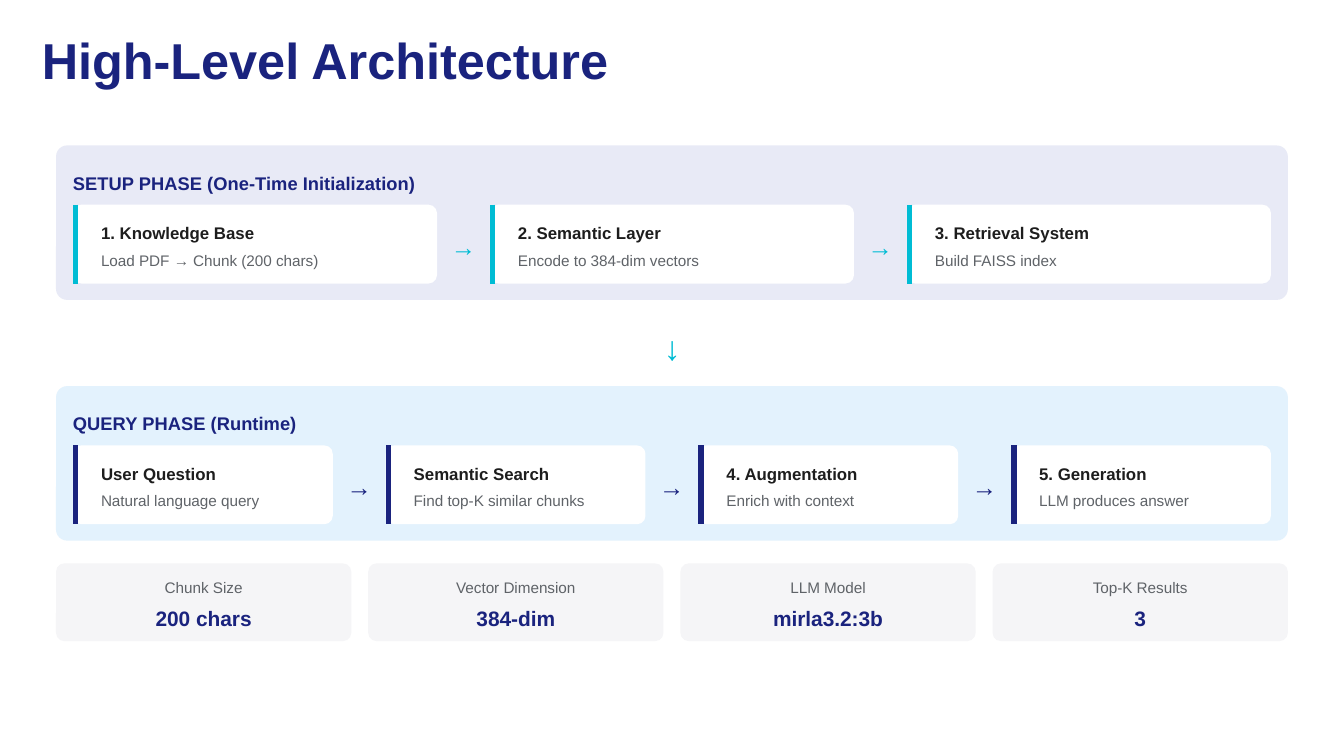
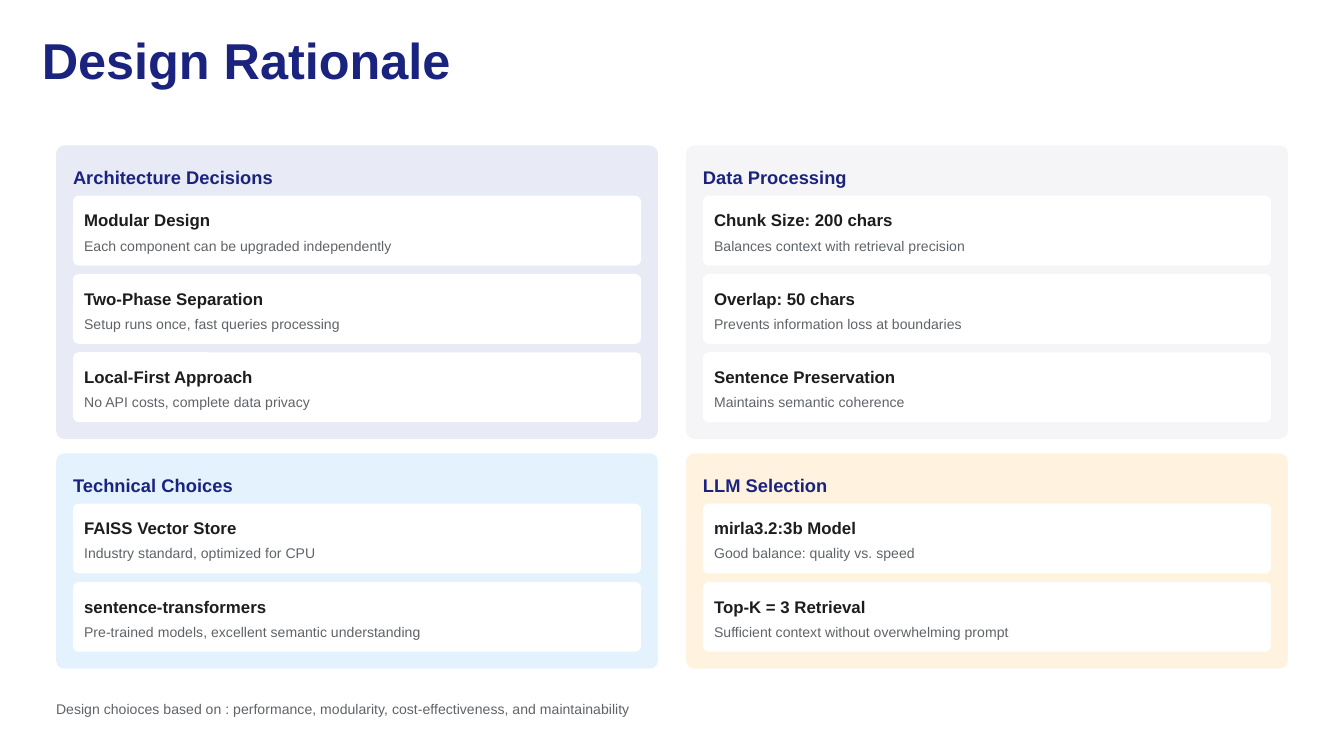
"""Build two slides on the architecture and design rationale of a retrieval system."""
from dataclasses import dataclass

from lxml import etree
from pptx import Presentation, util as u
from pptx.dml.color import RGBColor
from pptx.enum import shapes, text
from pptx.oxml.ns import qn

Cm, Pt = u.Cm, u.Pt
LEFT, ALIGN_CENTER = text.PP_ALIGN.LEFT, text.PP_ALIGN.CENTER


@dataclass(frozen=True)
class Type:
    """Hold one text style, in points."""
    size: float
    spacing: float
    color: str
    bold: bool = False
    before: float = 0
    after: float = 0
    align: int = LEFT


class Theme:
    """Keep the colours and type sizes together."""
    font = "Arial"
    navy, cyan, ink, grey = "1A237E", "00BCD4", "1D1D1D", "5F6368"
    white, lavender, sky, mist, cream = "FFFFFF", "E8EAF6", "E3F2FD", "F5F5F7", "FFF3E0"
    title = Type(27, 30, navy, True)
    phase = Type(9.8, 13.7, navy, True, before=3, after=6)
    heading = Type(9.8, 13.7, navy, True, after=4.5)
    step = Type(9, 12.6, ink, True)
    step_note = Type(8.2, 11.6, grey, before=3)
    choice = Type(9, 12.6, ink, True, after=2.2)
    note = Type(7.5, 10.5, grey)
    stat_label = Type(8.2, 11.6, grey, after=2.2, align=ALIGN_CENTER)
    stat_value = Type(11.2, 15.8, navy, True, align=ALIGN_CENTER)
    down_arrow = Type(18, 25.2, cyan, align=ALIGN_CENTER)

    @staticmethod
    def arrow(color):
        """Return the style of an arrow between steps."""
        return Type(13.5, 18.9, color)


class Deck:
    """Hold the style and the current slide, and draw elements in centimetres."""
    margin, top, width, pad = 1.06, 2.75, 23.28, 0.32

    def __init__(self, theme):
        """Start an empty widescreen presentation."""
        self.theme = theme
        self.prs = Presentation()
        self.prs.slide_width, self.prs.slide_height = Cm(25.4), Cm(14.29)
        self.s = None

    def slide(self, title):
        """Add a slide with its title."""
        self.s = self.prs.slides.add_slide(self.prs.slide_layouts[5])
        sp = self.s.shapes.title
        sp.left, sp.top, sp.width, sp.height = Cm(0.79), Cm(0.64), Cm(12.17), Cm(1.07)
        self.set_text(sp, title, self.theme.title)

    def set_text(self, sp, words, style):
        """Fill a shape with one styled paragraph."""
        tf = sp.text_frame
        tf.margin_left = tf.margin_right = tf.margin_top = tf.margin_bottom = 0
        tf.word_wrap = True
        tf.auto_size = text.MSO_AUTO_SIZE.NONE
        tf.vertical_anchor = text.MSO_ANCHOR.TOP
        tf.text = words
        p = tf.paragraphs[0]
        p.alignment = style.align
        p.line_spacing = Pt(style.spacing)
        p.space_before, p.space_after = Pt(style.before), Pt(style.after)
        for r in p.runs:
            r.font.name, r.font.size, r.font.bold = self.theme.font, Pt(style.size), style.bold
            r.font.color.rgb = RGBColor.from_string(style.color)

    def label(self, x, y, w, h, words, style):
        """Add a text box."""
        self.set_text(self.s.shapes.add_textbox(Cm(x), Cm(y), Cm(w), Cm(h)), words, style)

    def box(self, x, y, w, h, fill, radius=0.16):
        """Add a filled rounded box with a fixed corner radius."""
        sp = self.s.shapes.add_shape(
            shapes.MSO_SHAPE.ROUNDED_RECTANGLE, Cm(x), Cm(y), Cm(w), Cm(h))
        sp.adjustments[0] = radius / min(w, h)
        sp.shadow.inherit = False
        sp.fill.solid()
        sp.fill.fore_color.rgb = RGBColor.from_string(fill)
        sp.line.fill.background()

    def accent(self, x, y, h, color):
        """Add a thick vertical line."""
        sp = self.s.shapes.add_connector(
            shapes.MSO_CONNECTOR.STRAIGHT, Cm(x), Cm(y), Cm(x), Cm(y + h))
        sp.line.color.rgb = RGBColor.from_string(color)
        sp.line.width = Pt(3)
        etree.SubElement(sp._element.spPr, qn("a:effectLst"))

    def phase(self, y, title, fill, color, steps):
        """Add a panel of steps joined by arrows."""
        t, gap, h = self.theme, 1.0, 1.49
        left, inner = self.margin + self.pad, self.width - 2 * self.pad
        w = (inner - gap * (len(steps) - 1)) / len(steps)
        self.box(self.margin, y, self.width, 2.92, fill, 0.21)
        self.label(left, y + 0.43, inner, 0.48, title, t.phase)
        card_top = y + 1.12
        for i, (name, note) in enumerate(steps):
            x = left + i * (w + gap)
            if i:
                self.label(x - 0.74, card_top + 0.4, 0.48, 0.66, "→", t.arrow(color))
            self.box(x, card_top, w, h, t.white)
            self.accent(x + 0.05, card_top, h, color)
            self.label(x + 0.53, card_top + 0.28, w - 0.84, 0.43, name, t.step)
            self.label(x + 0.53, card_top + 0.81, w - 0.84, 0.41, note, t.step_note)

    def stats(self, y, items):
        """Add a row of equal boxes with a label and a value."""
        t, gap = self.theme, self.pad
        w = (self.width - gap * (len(items) - 1)) / len(items)
        for i, (name, value) in enumerate(items):
            x = self.margin + i * (w + gap)
            self.box(x, y, w, 1.47, t.mist)
            self.label(x + self.pad, y + 0.21, w - 2 * self.pad, 0.41, name, t.stat_label)
            self.label(x + self.pad, y + 0.71, w - 2 * self.pad, 0.56, value, t.stat_value)

    def choices(self, x, y, w, title, fill, items):
        """Add a panel of stacked choices and return its height."""
        t, head, card, gap = self.theme, 0.95, 1.32, 0.16
        left, inner = x + self.pad, w - 2 * self.pad
        h = head + len(items) * (card + gap) - gap + self.pad
        self.box(x, y, w, h, fill)
        self.label(left, y + 0.33, inner, 0.48, title, t.heading)
        for i, (name, note) in enumerate(items):
            card_top = y + head + i * (card + gap)
            self.box(left, card_top, inner, card, t.white, 0.11)
            self.label(left + 0.21, card_top + 0.21, inner - 0.22, 0.43, name, t.choice)
            self.label(left + 0.21, card_top + 0.73, inner - 0.22, 0.38, note, t.note)
        return h


def architecture(d):
    """Draw the two phases and the key figures."""
    t = d.theme
    d.slide("High-Level Architecture")
    d.phase(d.top, "SETUP PHASE (One-Time Initialization)", t.lavender, t.cyan, [
        ("1. Knowledge Base", "Load PDF → Chunk (200 chars)"),
        ("2. Semantic Layer", "Encode to 384-dim vectors"),
        ("3. Retrieval System", "Build FAISS index"),
    ])
    d.label(0.83, 6.05, 23.75, 0.89, "↓", t.down_arrow)
    d.phase(7.3, "QUERY PHASE (Runtime)", t.sky, t.navy, [
        ("User Question", "Natural language query"),
        ("Semantic Search", "Find top-K similar chunks"),
        ("4. Augmentation", "Enrich with context"),
        ("5. Generation", "LLM produces answer"),
    ])
    d.stats(10.65, [
        ("Chunk Size", "200 chars"),
        ("Vector Dimension", "384-dim"),
        ("LLM Model", "mirla3.2:3b"),
        ("Top-K Results", "3"),
    ])


def rationale(d):
    """Draw four panels of design choices in two columns."""
    t = d.theme
    d.slide("Design Rationale")
    columns = [
        [("Architecture Decisions", t.lavender, [
            ("Modular Design", "Each component can be upgraded independently"),
            ("Two-Phase Separation", "Setup runs once, fast queries processing"),
            ("Local-First Approach", "No API costs, complete data privacy"),
        ]), ("Technical Choices", t.sky, [
            ("FAISS Vector Store", "Industry standard, optimized for CPU"),
            ("sentence-transformers", "Pre-trained models, excellent semantic understanding"),
        ])],
        [("Data Processing", t.mist, [
            ("Chunk Size: 200 chars", "Balances context with retrieval precision"),
            ("Overlap: 50 chars", "Prevents information loss at boundaries"),
            ("Sentence Preservation", "Maintains semantic coherence"),
        ]), ("LLM Selection", t.cream, [
            ("mirla3.2:3b Model", "Good balance: quality vs. speed"),
            ("Top-K = 3 Retrieval", "Sufficient context without overwhelming prompt"),
        ])],
    ]
    gap_x, gap_y = 0.53, 0.27
    w = (d.width - gap_x) / 2
    for i, panels in enumerate(columns):
        y = d.top
        for title, fill, items in panels:
            y += d.choices(d.margin + i * (w + gap_x), y, w, title, fill, items) + gap_y
    d.label(d.margin, 13.19, 23.75, 0.38,
            "Design choioces based on : performance, modularity, "
            "cost-effectiveness, and maintainability", t.note)


def main():
    """Build and save the presentation."""
    d = Deck(Theme())
    architecture(d)
    rationale(d)
    d.prs.save("out.pptx")


if __name__ == "__main__":
    main()
